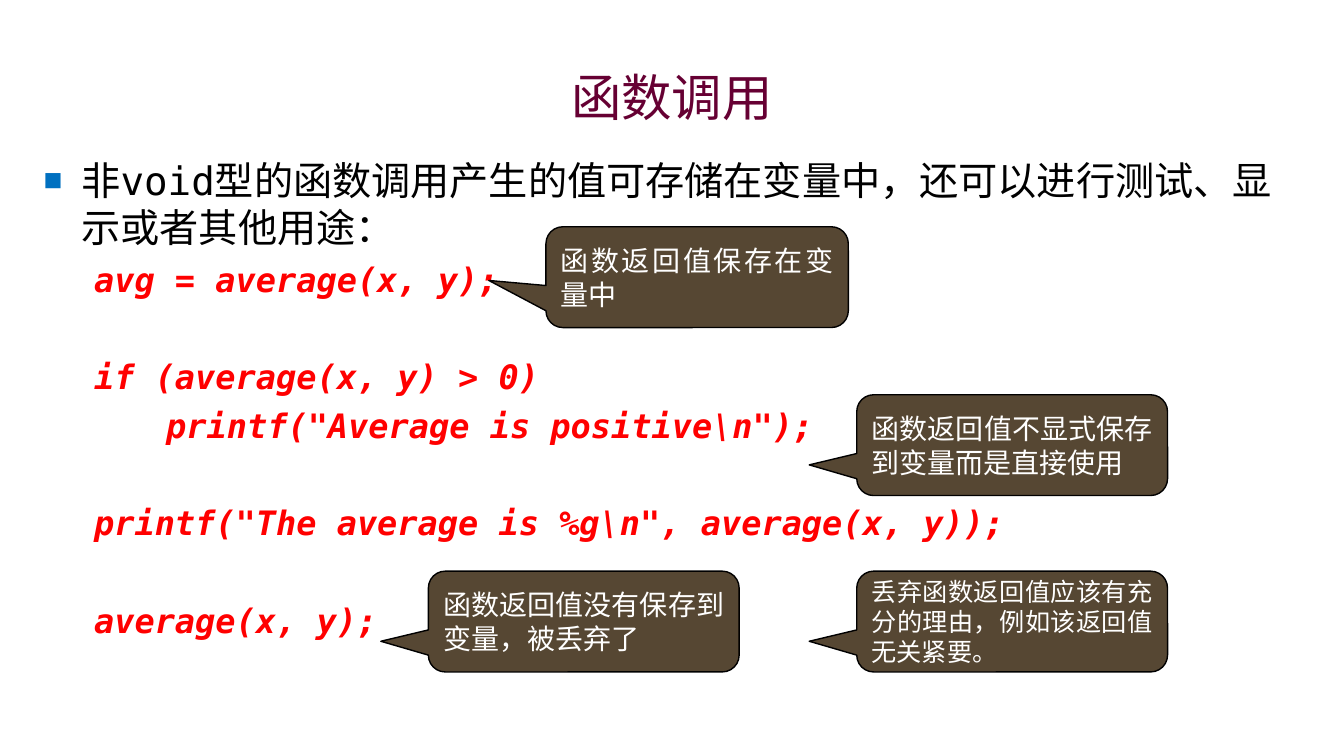
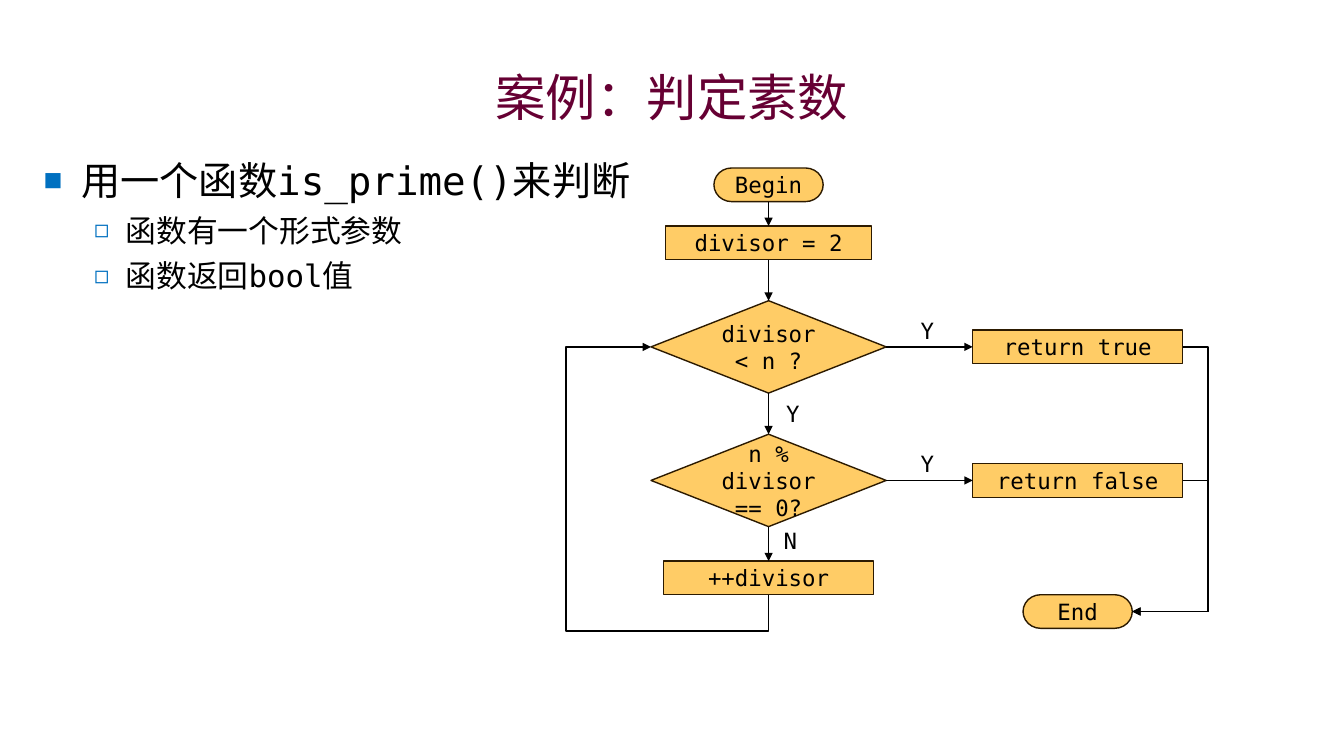
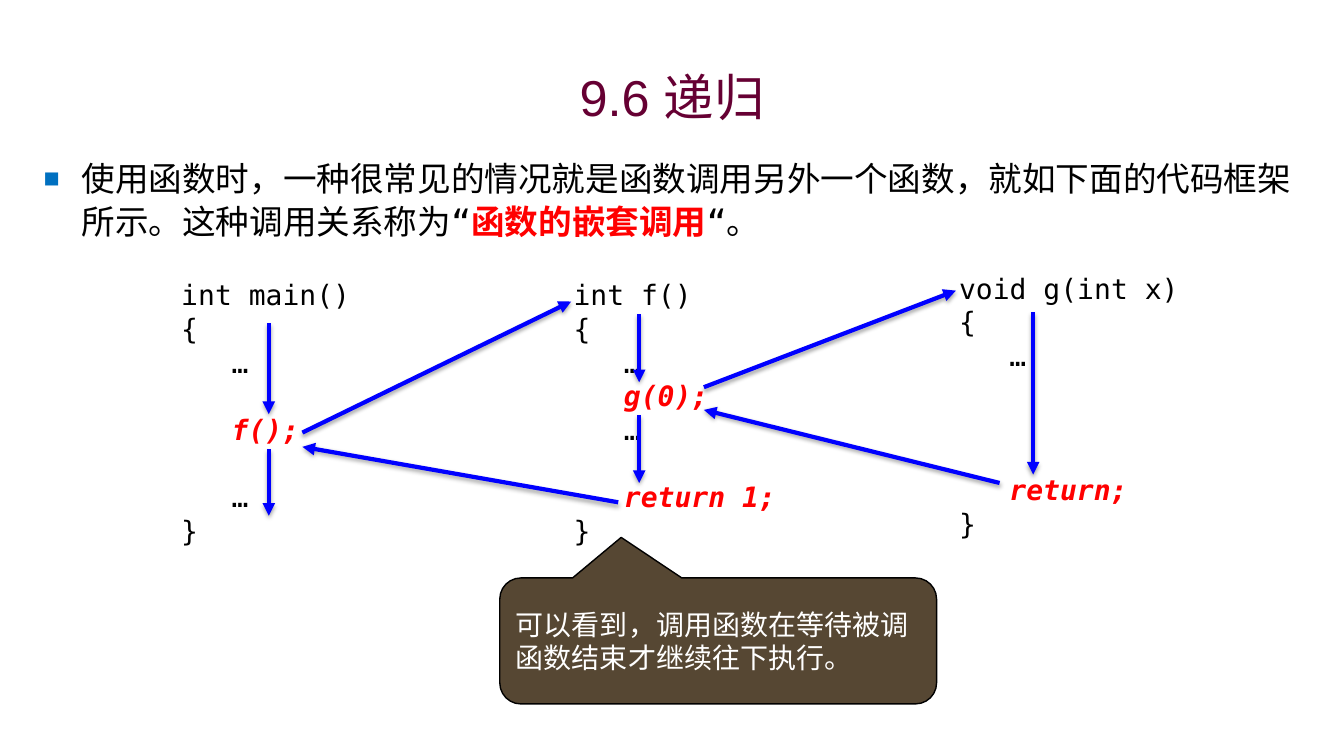
from dataclasses import dataclass

from lxml import etree
from pptx import Presentation
from pptx.dml.color import RGBColor
from pptx.enum.shapes import MSO_CONNECTOR, MSO_SHAPE
from pptx.enum.text import MSO_ANCHOR, MSO_AUTO_SIZE, PP_ALIGN
from pptx.oxml.ns import qn
from pptx.util import Pt

STRAIGHT, ELBOW = MSO_CONNECTOR.STRAIGHT, MSO_CONNECTOR.ELBOW
RECTANGLE = MSO_SHAPE.RECTANGLE
TERMINATOR = MSO_SHAPE.FLOWCHART_TERMINATOR
DECISION = MSO_SHAPE.FLOWCHART_DECISION
CALLOUT = MSO_SHAPE.ROUNDED_RECTANGULAR_CALLOUT
TOP, MIDDLE = MSO_ANCHOR.TOP, MSO_ANCHOR.MIDDLE
LEFT, CENTER, JUSTIFY = PP_ALIGN.LEFT, PP_ALIGN.CENTER, PP_ALIGN.JUSTIFY
FIXED = MSO_AUTO_SIZE.NONE

COLUMNS, ROWS = 160, 90
CELL = Pt(6)


@dataclass(frozen=True)
class Theme:
    title_font: str = "Arial"
    text_font: str = "DejaVu Sans Mono"
    title_color: str = "660033"
    ink: str = "000000"
    white: str = "FFFFFF"
    accent: str = "FF0000"
    bullet: str = "0070C0"
    brown: str = "2C1A00"
    node: str = "FFCC66"
    arrow: str = "0000FF"
    title_size: int = 36
    lead_size: int = 28
    code_size: int = 24
    item_size: int = 22
    note_size: int = 20
    small_note_size: int = 18
    flow_size: int = 16


THEME = Theme()
PLAIN = {"bold": False, "italic": False}
STRONG = {"bold": True, "italic": False}
CODE = {"bold": True, "italic": True}


@dataclass
class Line:
    text: object
    size: float = THEME.note_size
    color: str = THEME.ink
    style: tuple = tuple(PLAIN.items())
    before: float = 0
    spacing: float = 1.0
    margin: float = 0
    hanging: float = 0
    bullet: str = ""
    level: int = 0
    align: object = LEFT
    font: str = THEME.text_font


def cells(*values):
    return [round(value * CELL) for value in values]


def assign(target, values):
    for name, value in values.items():
        setattr(target, name, value)


def child(parent, tag, **values):
    element = etree.SubElement(parent, qn(tag))
    for name, value in values.items():
        element.set(name, str(value))
    return element


def add_span(para, text, line, color, style):
    span = para.add_run()
    span.text = text
    assign(span.font, {"name": line.font, "size": Pt(line.size), **dict(style)})
    span.font.color.rgb = RGBColor.from_string(color)
    child(span.font._element, "a:ea", typeface=line.font)


def set_bullet(para, line):
    properties = para._p.get_or_add_pPr()
    properties.set("marL", str(Pt(line.margin)))
    properties.set("indent", str(Pt(-line.hanging)))
    if line.bullet:
        child(child(properties, "a:buClr"), "a:srgbClr", val=THEME.bullet)
        child(properties, "a:buSzPct", val=80000)
        child(properties, "a:buChar", char=line.bullet)
    else:
        child(properties, "a:buNone")


def write(box, lines, anchor=TOP):
    frame = box.text_frame
    assign(frame, {"word_wrap": True, "auto_size": FIXED, "vertical_anchor": anchor})
    for index, line in enumerate(lines):
        para = frame.add_paragraph() if index else frame.paragraphs[0]
        assign(para, {"alignment": line.align, "level": line.level,
                      "space_before": Pt(line.before), "space_after": Pt(0),
                      "line_spacing": line.spacing})
        set_bullet(para, line)
        spans = line.text
        if isinstance(spans, str):
            spans = [(spans, line.color, line.style)]
        for text, color, style in spans:
            add_span(para, text, line, color, style)


def place(box, left, top, width, height):
    assign(box, dict(zip(("left", "top", "width", "height"),
                         cells(left, top, width, height))))


def add_page(deck, title, lines):
    page = deck.slides.add_slide(deck.slide_layouts[1])
    heading, body = page.placeholders
    place(heading, 12, 7, 136, 9)
    place(body, 4, 18, 152, 68)
    write(heading, [Line(title, THEME.title_size, THEME.title_color,
                         align=CENTER, font=THEME.title_font)], MIDDLE)
    write(body, lines)
    return page


def add_text(page, area, lines, anchor=TOP):
    write(page.shapes.add_textbox(*cells(*area)), lines, anchor)


def add_box(page, kind, area, fill, outline, line):
    box = page.shapes.add_shape(kind, *cells(*area))
    box.shadow.inherit = False
    box.fill.solid()
    box.fill.fore_color.rgb = RGBColor.from_string(fill)
    box.line.color.rgb = RGBColor.from_string(outline)
    box.line.width = Pt(1)
    write(box, [line], MIDDLE)
    return box


def add_callout(page, area, pointer, text, size=THEME.note_size, align=JUSTIFY):
    box = add_box(page, CALLOUT, area, THEME.brown, THEME.ink,
                  Line(text, size, THEME.white, align=align))
    for index, value in enumerate((*pointer, 0.167)):
        box.adjustments[index] = value
    color = box._element.spPr.find(qn("a:solidFill")).find(qn("a:srgbClr"))
    child(color, "a:alpha", val=80000)


def add_arrow(page, start, end, kind=STRAIGHT, color=THEME.ink, weight=1, shadow=False):
    arrow = page.shapes.add_connector(kind, *cells(*start, *end))
    arrow.line.color.rgb = RGBColor.from_string(color)
    arrow.line.width = Pt(weight)
    child(arrow.line._get_or_add_ln(), "a:tailEnd", type="triangle")
    effects = child(arrow._element.spPr, "a:effectLst")
    if shadow:
        cast = child(effects, "a:outerShdw", blurRad=Pt(3.1), dist=Pt(1.8),
                     dir=5400000, rotWithShape=0)
        child(child(cast, "a:srgbClr", val=THEME.ink), "a:alpha", val=35000)
    return arrow


def add_elbow(page, start, end, bends, turned=False):
    if turned:
        middle = [(a + b) / 2 for a, b in zip(start, end)]
        across, down = [abs(a - b) / 2 for a, b in zip(end, start)]
        start = middle[0] + down, middle[1] - across
        end = middle[0] - down, middle[1] + across
    shape = add_arrow(page, start, end, ELBOW)._element.spPr
    if turned:
        shape.find(qn("a:xfrm")).set("rot", "5400000")
    geometry = shape.find(qn("a:prstGeom"))
    geometry.set("prst", f"bentConnector{len(bends) + 2}")
    guides = geometry.find(qn("a:avLst"))
    if guides is None:
        guides = child(geometry, "a:avLst")
    for index, bend in enumerate(bends, 1):
        child(guides, "a:gd", name=f"adj{index}", fmla=f"val {round(bend * 100000)}")


@dataclass
class Node:
    kind: object
    text: str
    column: float
    row: float
    width: float
    height: float = 4

    def side(self, across, down):
        return self.column + across * self.width / 2, self.row + down * self.height / 2


def add_node(page, node):
    area = (*node.side(-1, -1), node.width, node.height)
    add_box(page, node.kind, area, THEME.node, THEME.brown,
            Line(node.text, THEME.flow_size, align=CENTER))


def lead(text, size=THEME.lead_size, before=6, spacing=1.0):
    return Line(text, size, before=before, spacing=spacing,
                margin=27, hanging=27, bullet="■")


def item(text):
    return Line(text, THEME.item_size, before=6, margin=58.5, hanging=22.5,
                bullet="◻", level=1)


def statement(text, before=6, margin=36):
    return Line(text, THEME.code_size, THEME.accent, tuple(CODE.items()),
                before=before, margin=margin, level=1)


def build_calls(deck):
    apart = 40.8
    page = add_page(deck, "函数调用", [
        lead("非void型的函数调用产生的值可存储在变量中，还可以进行测试、显示或者其他用途："),
        statement("avg = average(x, y);"),
        statement("if (average(x, y) > 0)", apart),
        statement('printf("Average is positive\\n");', margin=87.5),
        statement('printf("The average is %g\\n", average(x, y));', apart),
        statement("average(x, y);", apart),
    ])
    pointer = (-0.653, 0.196)
    add_callout(page, (65, 27, 36, 12), (-0.689, 0.033), "函数返回值保存在变量中")
    add_callout(page, (102, 47, 37, 12), pointer, "函数返回值不显式保存到变量而是直接使用")
    add_callout(page, (51, 68, 37, 12), pointer, "函数返回值没有保存到变量，被丢弃了")
    add_callout(page, (102, 68, 37, 12), pointer,
                "丢弃函数返回值应该有充分的理由，例如该返回值无关紧要。", THEME.small_note_size)


def build_prime(deck):
    page = add_page(deck, "案例：判定素数", [
        lead("用一个函数is_prime()来判断"),
        item("函数有一个形式参数"),
        item("函数返回bool值"),
    ])
    main_column, exit_column = 91.5, 128.3
    begin = Node(TERMINATOR, "Begin", main_column, 22, 13)
    first = Node(RECTANGLE, "divisor = 2", main_column, 28.9, 24.5)
    limit = Node(DECISION, "divisor < n ?", main_column, 41.3, 28, 11)
    divides = Node(DECISION, "n % divisor == 0?", main_column, 57.2, 28, 11)
    following = Node(RECTANGLE, "++divisor", main_column, 68.8, 25)
    prime = Node(RECTANGLE, "return true", exit_column, limit.row, 25)
    composite = Node(RECTANGLE, "return false", exit_column, divides.row, 25)
    end = Node(TERMINATOR, "End", exit_column, 72.8, 13)

    chain = [begin, first, limit, divides, following]
    for node in chain + [prime, composite, end]:
        add_node(page, node)
    for upper, lower in zip(chain, chain[1:]):
        add_arrow(page, upper.side(0, 1), lower.side(0, -1))
    for test, result in ((limit, prime), (divides, composite)):
        add_arrow(page, test.side(1, 0), result.side(-1, 0))
        add_elbow(page, result.side(1, 0), end.side(1, 0), [-0.5])
    add_elbow(page, following.side(0, 1), limit.side(-1, 0), [-0.146, 1.723], turned=True)

    for text, left, top in (("Y", 91.5, 47.2), ("Y", 107.5, 53.2),
                            ("N", 91.2, 62.4), ("Y", 107.5, 37.3)):
        add_text(page, (left, top, 5.8, 4),
                 [Line(text, THEME.flow_size, align=CENTER)], MIDDLE)


def inner(text, skipped=0, called=False):
    style, color = (CODE, THEME.accent) if called else (PLAIN, THEME.ink)
    return Line(text, color=color, style=tuple(style.items()),
                before=skipped * THEME.note_size * 1.2, margin=36)


def build_recursion(deck):
    page = add_page(deck, "9.6 递归", [lead([
        ("使用函数时，一种很常见的情况就是函数调用另外一个函数，就如下面的代码框架所示。"
         "这种调用关系称为“", THEME.ink, PLAIN),
        ("函数的嵌套调用", THEME.accent, STRONG),
        ("“。", THEME.ink, PLAIN),
    ], THEME.code_size, 1.2, 1.05)])

    listings = (
        (20.4, 32.5, "int main()",
         [inner("…"), inner("f();", 1, True), inner("…", 1)]),
        (67.1, 32.5, "int f()",
         [inner("…"), inner("g(0);", called=True), inner("…"), inner("return 1;", 1, True)]),
        (113, 31.7, "void g(int x)",
         [inner("…"), inner("return;", 3, True)]),
    )
    for left, top, header, body in listings:
        add_text(page, (left, top, 37, 33.5), [Line(header), Line("{"), *body, Line("}")])

    main_flow, f_flow, g_flow = 32, 76.1, 123
    for start, end in (
        ((main_flow, 38.5), (main_flow, 49.3)),
        ((36, 51.5), (68, 35.9)),
        ((f_flow, 37.4), (f_flow, 45.5)),
        ((83.8, 46.1), (113.8, 34.6)),
        ((g_flow, 37.2), (g_flow, 56.5)),
        ((119, 57.5), (83.8, 48.8)),
        ((f_flow, 49.4), (f_flow, 57.5)),
        ((73.6, 59.8), (36, 53.2)),
        ((main_flow, 53.5), (main_flow, 61.4)),
    ):
        add_arrow(page, start, end, color=THEME.arrow, weight=3, shadow=True)
    add_callout(page, (59.5, 68.8, 52, 15), (-0.222, -0.822),
                "可以看到，调用函数在等待被调函数结束才继续往下执行。", align=LEFT)


def main():
    deck = Presentation()
    deck.slide_width, deck.slide_height = cells(COLUMNS, ROWS)
    for build in (build_calls, build_prime, build_recursion):
        build(deck)
    deck.save("out.pptx")


main()
